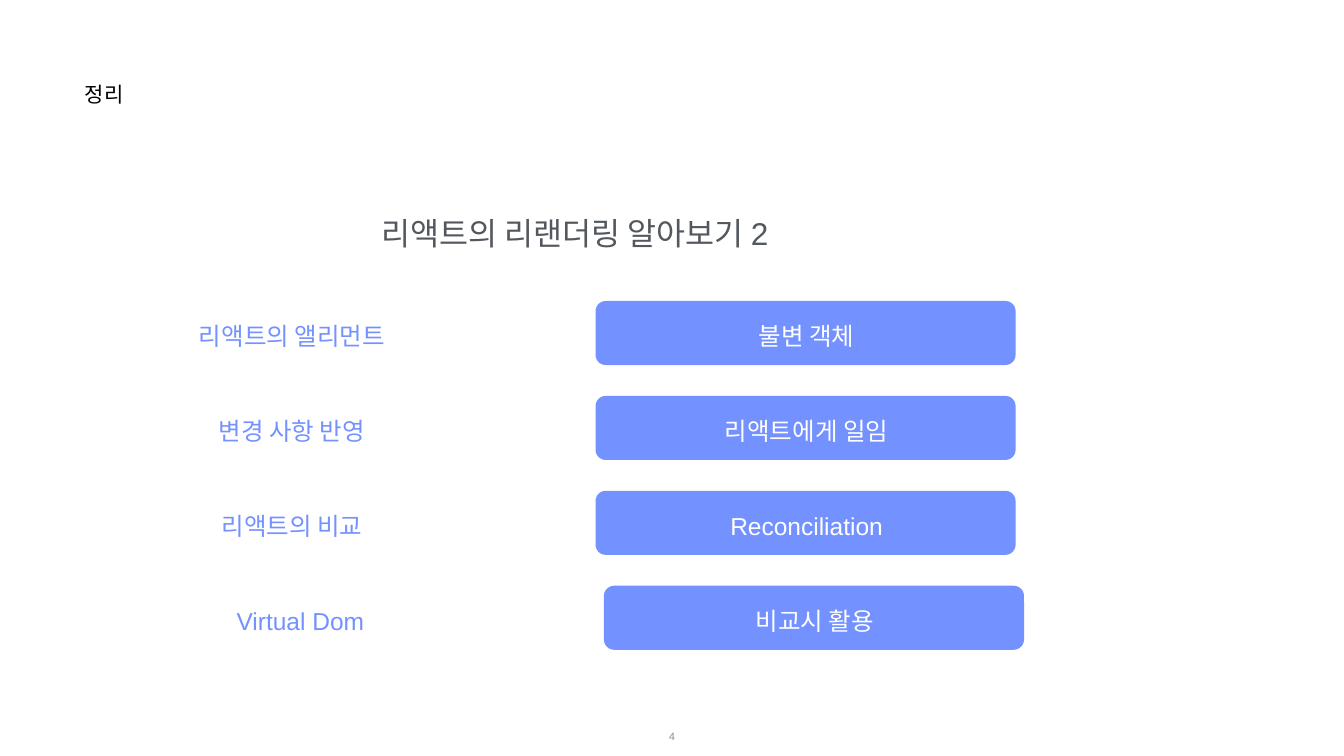
from pptx import Presentation
from pptx.dml.color import RGBColor
from pptx.enum import shapes, text
from pptx.util import Pt

COLORS = {
    "heading": "000000",
    "title": "53585F",
    "accent": "7391FF",
    "on_accent": "FFFFFF",
    "page": "888888",
}


def add_text(slide, words, left, top, width, height, *, size, color,
             align=text.PP_ALIGN.CENTER, anchor=text.MSO_ANCHOR.MIDDLE):
    frame = slide.shapes.add_textbox(Pt(left), Pt(top), Pt(width), Pt(height)).text_frame
    frame.word_wrap = True
    frame.vertical_anchor = anchor
    frame.margin_left = frame.margin_right = Pt(1)
    frame.margin_top = frame.margin_bottom = Pt(1)
    paragraph = frame.paragraphs[0]
    paragraph.alignment = align
    run = paragraph.add_run()
    run.text = words
    run.font.name = "Arial"
    run.font.size = Pt(size)
    run.font.color.rgb = RGBColor.from_string(COLORS[color])


presentation = Presentation()
presentation.slide_width = Pt(1919.52)
presentation.slide_height = Pt(1080)
slide = presentation.slides.add_slide(presentation.slide_layouts[6])

# Heading and title
add_text(slide, "정리", 120, 115, 350, 85, size=30, color="heading",
         align=text.PP_ALIGN.LEFT, anchor=text.MSO_ANCHOR.TOP)
add_text(slide, "리액트의 리랜더링 알아보기 2", 190, 305, 1263, 57, size=45, color="title",
         anchor=text.MSO_ANCHOR.TOP)

# Summary rows: topic, answer, shift to the right
rows = [
    ("리액트의 앨리먼트", "불변 객체", 0),
    ("변경 사항 반영", "리액트에게 일임", 0),
    ("리액트의 비교", "Reconciliation", 0),
    ("Virtual Dom", "비교시 활용", 12),
]
FIRST_TOP, ROW_PITCH = 430, 135.6
BAR_LEFT, BAR_WIDTH, BAR_HEIGHT = 850.5, 600, 91.5
TEXT_OFFSET, TEXT_HEIGHT = 27, 45

for index, (topic, answer, shift) in enumerate(rows):
    top = FIRST_TOP + index * ROW_PITCH
    bar = slide.shapes.add_shape(shapes.MSO_SHAPE.ROUNDED_RECTANGLE, Pt(BAR_LEFT + shift),
                                 Pt(top), Pt(BAR_WIDTH), Pt(BAR_HEIGHT))
    bar.adjustments[0] = 0.16
    bar.shadow.inherit = False
    bar.fill.solid()
    bar.fill.fore_color.rgb = RGBColor.from_string(COLORS["accent"])
    bar.line.fill.background()
    add_text(slide, topic, 192 + shift, top + TEXT_OFFSET, 450, TEXT_HEIGHT,
             size=35, color="accent")
    add_text(slide, answer, BAR_LEFT + 1.5 + shift, top + TEXT_OFFSET, BAR_WIDTH, TEXT_HEIGHT,
             size=35, color="on_accent")

# Page number
add_text(slide, "4", 744, 1023, 432, 57, size=15, color="page")

presentation.save("out.pptx")
